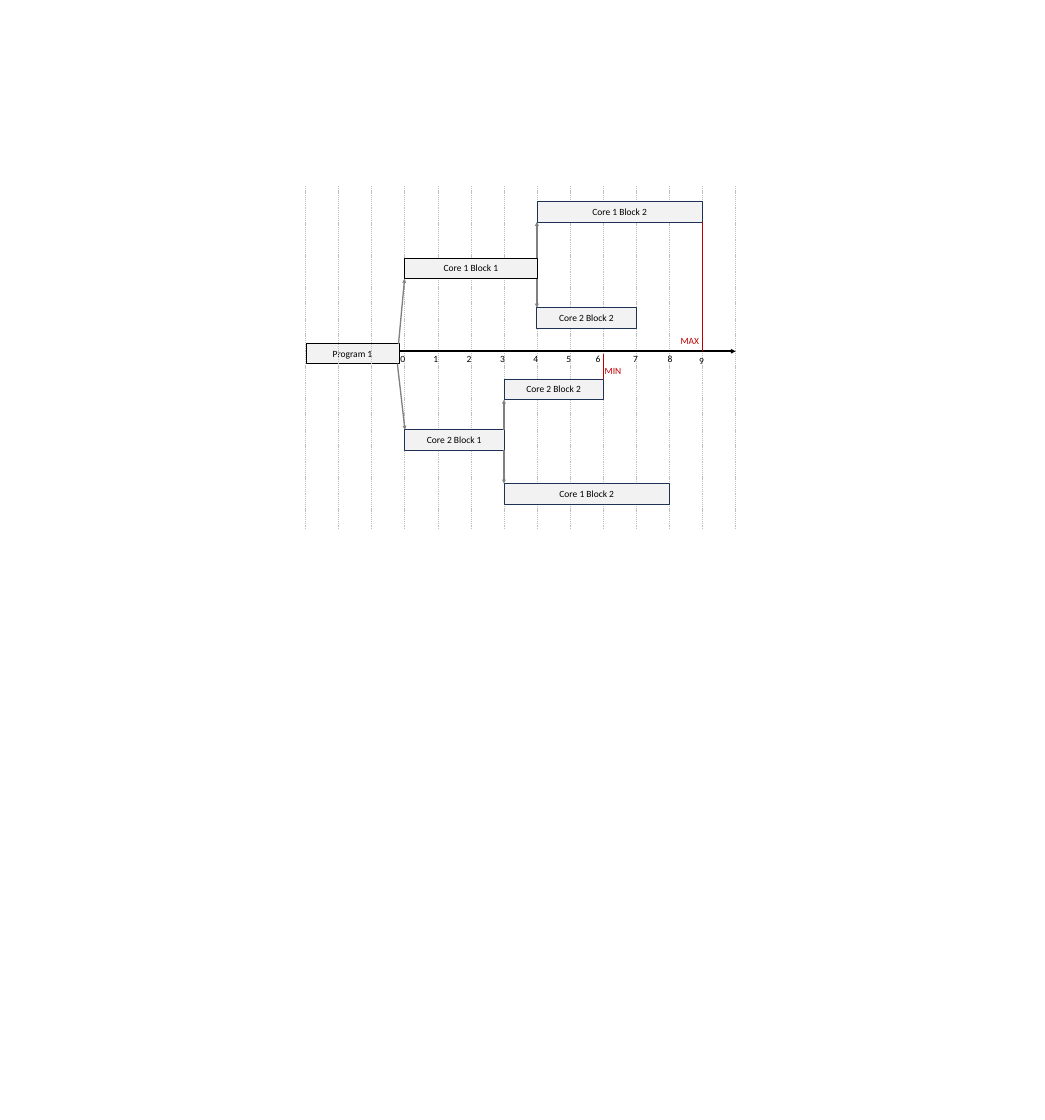
"""Build a timeline slide comparing two block schedules of one program on two cores."""
from lxml import etree
from pptx import Presentation
from pptx.dml.color import RGBColor
from pptx.enum.dml import MSO_LINE
from pptx.enum.shapes import MSO_CONNECTOR, MSO_SHAPE
from pptx.enum.text import MSO_ANCHOR, MSO_AUTO_SIZE, PP_ALIGN
from pptx.oxml.ns import qn
from pptx.util import Inches, Pt

STRAIGHT = MSO_CONNECTOR.STRAIGHT
RECTANGLE = MSO_SHAPE.RECTANGLE
DASH = MSO_LINE.DASH
CENTER, LEFT = PP_ALIGN.CENTER, PP_ALIGN.LEFT
MIDDLE, TOP = MSO_ANCHOR.MIDDLE, MSO_ANCHOR.TOP
GROW = MSO_AUTO_SIZE.SHAPE_TO_FIT_TEXT

BLACK, NAVY, GRAY, RED = "000000", "1E3256", "808080", "C00000"
ORIGIN, STEP = 10.67, 0.873
AXIS_Y = 9.26
BLOCK_HEIGHT = 0.54

deck = Presentation()
deck.slide_width, deck.slide_height = Inches(27.56), Inches(29.53)
page = deck.slides.add_slide(deck.slide_layouts[6])


def add_line(x1, y1, x2, y2, color, width, dash=None, arrow=False):
    line = page.shapes.add_connector(STRAIGHT, Inches(x1), Inches(y1), Inches(x2), Inches(y2))
    line.line.color.rgb = RGBColor.from_string(color)
    line.line.width = Pt(width)
    if dash:
        line.line.dash_style = dash
    if arrow:
        etree.SubElement(line.line._get_or_add_ln(), qn("a:tailEnd"), type="triangle")
    etree.SubElement(line._element.spPr, qn("a:effectLst"))


def add_text(text, left, top, width, height, color=BLACK, outline=None):
    place = [Inches(value) for value in (left, top, width, height)]
    if outline:
        box = page.shapes.add_shape(RECTANGLE, *place)
        box.shadow.inherit = False
        box.fill.solid()
        box.fill.fore_color.rgb = RGBColor.from_string("F2F2F2")
        box.line.color.rgb = RGBColor.from_string(outline)
        box.line.width = Pt(1)
    else:
        box = page.shapes.add_textbox(*place)
        box.text_frame.auto_size = GROW
    box.text_frame.word_wrap = True
    box.text_frame.vertical_anchor = MIDDLE if outline else TOP
    para = box.text_frame.paragraphs[0]
    para.alignment = CENTER if outline else LEFT
    span = para.add_run()
    span.text = text
    span.font.name = "Calibri"
    span.font.size = Pt(18)
    span.font.color.rgb = RGBColor.from_string(color)


for tick in range(11):
    x = ORIGIN + tick * STEP
    add_line(x, 4.9, x, 13.95, "BFBFBF", 0.5, dash=DASH)
add_line(9.46, AXIS_Y, 19.4, AXIS_Y, BLACK, 3, arrow=True)

blocks = [
    ("Core 1 Block 1", 10.67, 6.8, 3.5, BLACK),
    ("Core 2 Block 1", 10.67, 11.33, 2.62, NAVY),
    ("Core 1 Block 2", 14.16, 5.31, 4.37, NAVY),
    ("Core 2 Block 2", 14.14, 8.11, 2.65, NAVY),
    ("Core 1 Block 2", 13.29, 12.75, 4.37, NAVY),
    ("Core 2 Block 2", 13.29, 9.99, 2.62, NAVY),
    ("Program 1", 8.07, 9.05, 2.45, BLACK),
]
for name, left, top, width, outline in blocks:
    add_text(name, left, top, width, BLOCK_HEIGHT, outline=outline)

label_lefts = [10.46, 11.33, 12.21, 13.09, 13.97, 14.84, 15.61, 16.6, 17.51, 18.34]
for number, left in enumerate(label_lefts):
    add_text(str(number), left, 9.3 if number == 9 else AXIS_Y, 1.13, 0.4)

branches = [
    (14.16, 6.8, 14.16, 5.85),
    (14.16, 7.35, 14.16, 8.11),
    (13.29, 11.87, 13.29, 12.75),
    (13.29, 11.33, 13.29, 10.54),
    (10.51, 9.07, 10.67, 7.35),
    (10.48, 9.59, 10.68, 11.33),
]
for ends in branches:
    add_line(*ends, GRAY, 2.5, arrow=True)

add_line(18.53, 5.85, 18.53, AXIS_Y, RED, 2.25)
add_line(15.91, 9.33, 15.91, 9.99, RED, 2.25)
add_text("MIN", 15.85, 9.58, 1.11, 0.4, color=RED)
add_text("MAX", 17.85, 8.79, 1.11, 0.4, color=RED)

for tick in range(-3, 0):
    x = ORIGIN + tick * STEP
    add_line(x, 4.9, x, 13.95, "BFBFBF", 0.5, dash=DASH)

deck.save("out.pptx")
